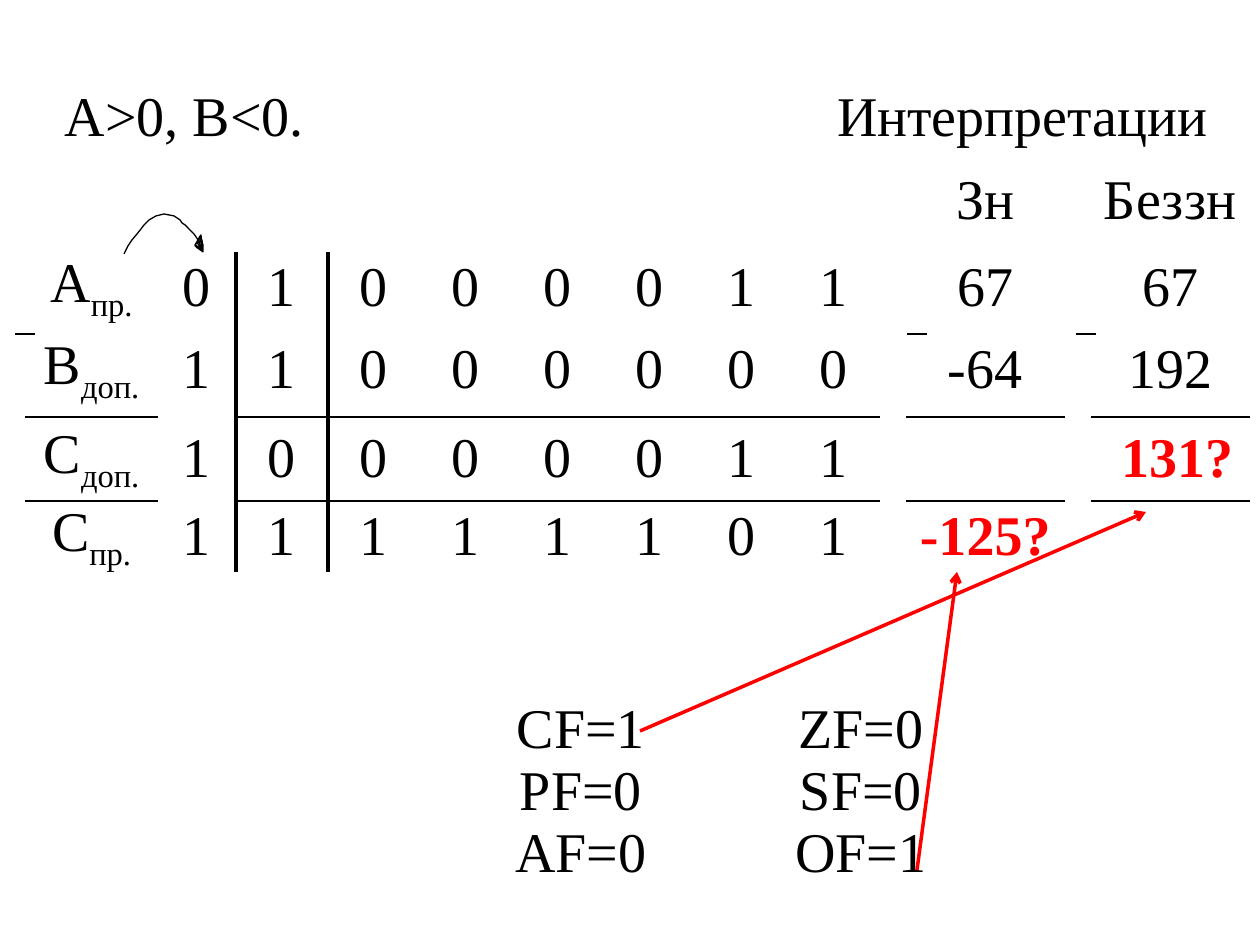
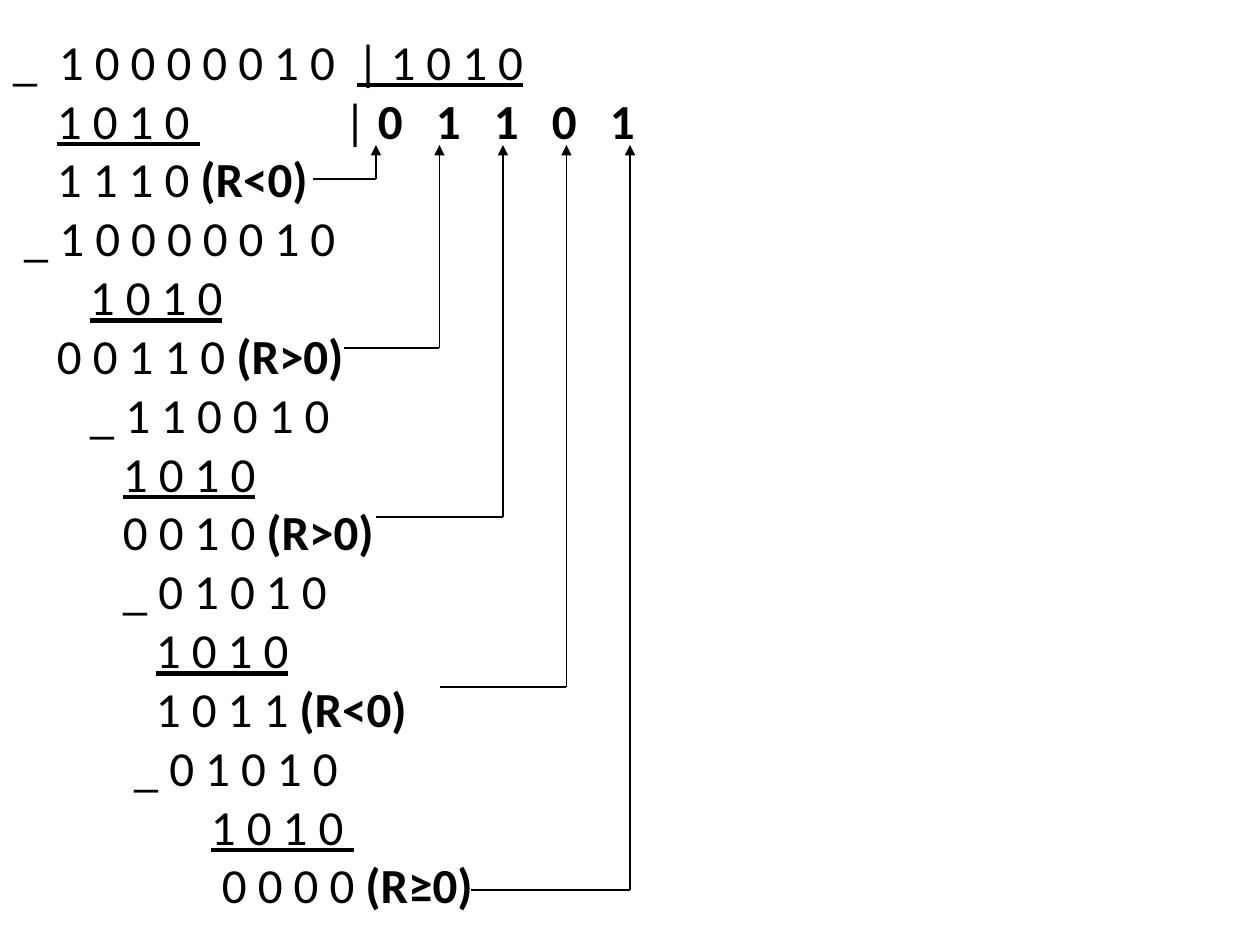
from lxml import etree
from pptx import Presentation
from pptx import util as u
from pptx.dml.color import RGBColor
from pptx.enum import shapes, text
from pptx.oxml.ns import qn

PX = 914400 / 126
BLACK = RGBColor(0x00, 0x00, 0x00)
RED = RGBColor(0xFF, 0x00, 0x00)
SERIF = "Times New Roman"
SANS = "Calibri"
NO_STYLE = "{2D5ABB26-0587-4C30-8999-92F81FD0307C}"
SPACE = 11

SUBTRACTION = [
    ["А>0, B<0.\tИнтерпретации"] + [""] * 12,
    [""] * 10 + ["Зн", "", "Беззн"],
    ["A|пр.", *"01000011", "", "67", "", "67"],
    ["B|доп.", *"11000000", "", "-64", "", "192"],
    ["C|доп.", *"10000011", "", "", "", " 131?"],
    ["C|пр.", *"11111101", "", "-125?", "", ""],
]
FLAGS = [["CF=1", "ZF=0"], ["PF=0", "SF=0"], ["AF=0", "OF=1"]]
CARRY_ARC = [
    (124, 254), (128, 246), (132, 240), (137, 234), (141, 229), (144, 225),
    (149, 220), (156, 216), (164, 214), (174, 216), (180, 220), (182, 223),
    (185, 225), (190, 230), (194, 234), (198, 240), (200, 244), (203, 250),
    (195, 245), (201, 235), (202, 247), (195, 246), (200, 236), (200, 246),
    (197, 243), (202, 240), (203, 250), (196, 247), (203, 252), (203, 244),
]

QUOTIENT_TABS = [44, 331] + [365 + 58 * i for i in range(5)]
DIVISION = [
    (0, [46, 344], [("_\t1 0 0 0 0 0 1 0\t", ""), ("| 1 0 1 0", "u")]),
    (0, QUOTIENT_TABS, [("\t", ""), ("1 0 1 0 ", "u"), ("\t|\t", ""),
                        ("0\t1\t1\t0\t1", "b")]),
    (4, [], [("1 1 1 0 ", ""), ("(R<0)", "b")]),
    (1, [], [("_ 1 0 0 0 0 0 1 0", "")]),
    (7, [], [("1 0 1 0", "u")]),
    (4, [], [("0 0 1 1 0 ", ""), ("(R>0)", "b")]),
    (7, [], [("_ 1 1 0 0 1 0", "")]),
    (10, [], [("1 0 1 0", "u")]),
    (10, [], [("0 0 1 0 ", ""), ("(R>0)", "b")]),
    (10, [], [("_ 0 1 0 1 0", "")]),
    (13, [], [("1 0 1 0", "u")]),
    (13, [], [("1 0 1 1 ", ""), ("(R<0)", "b")]),
    (11, [], [("_ 0 1 0 1 0", "")]),
    (18, [], [("1 0 1 0 ", "u")]),
    (19, [], [("0 0 0 0 ", ""), ("(R≥0)", "b")]),
]
REMAINDER_LINKS = [(313, 179), (344, 348), (376, 517), (440, 687), (471, 890)]


def px(length):
    """Turn px into EMU."""
    return u.Emu(round(length * PX))


def style(font, name, size, color=BLACK, bold=False):
    """Set the basic look of a font."""
    font.name, font.size, font.bold = name, u.Pt(size), bold
    font.color.rgb = color


def set_tabs(paragraph, positions):
    """Give a paragraph left tab stops."""
    properties = paragraph._p.get_or_add_pPr()
    tab_list = etree.Element(qn("a:tabLst"))
    for position in positions:
        etree.SubElement(tab_list, qn("a:tab"), pos=str(px(position)), algn="l")
    default_font = properties.find(qn("a:defRPr"))
    if default_font is None:
        properties.append(tab_list)
    else:
        default_font.addprevious(tab_list)


def add_line(slide, start, end, color=BLACK, width=0.75, head=None):
    """Draw a straight line, with an arrowhead at its end if named."""
    line = slide.shapes.add_connector(
        shapes.MSO_CONNECTOR.STRAIGHT, *map(px, (*start, *end)))
    line.line.color.rgb = color
    line.line.width = u.Pt(width)
    if head:
        etree.SubElement(line.line._get_or_add_ln(), qn("a:tailEnd"), type=head)
    etree.SubElement(line._element.spPr, qn("a:effectLst"))


def set_border(cell, side, width):
    """Draw one black border of a cell."""
    border = etree.SubElement(cell._tc.get_or_add_tcPr(), qn(f"a:ln{side}"),
                              w=str(u.Pt(width)))
    fill = etree.SubElement(border, qn("a:solidFill"))
    etree.SubElement(fill, qn("a:srgbClr"), val=str(BLACK))


def fill_cell(cell, content):
    """Write centred text in a cell, with a subscript after a bar."""
    cell.margin_left = cell.margin_right = px(9)
    cell.margin_top = cell.margin_bottom = 0
    cell.vertical_anchor = text.MSO_ANCHOR.MIDDLE
    cell.fill.background()
    if not content:
        return
    warning = content.endswith("?")
    paragraph = cell.text_frame.paragraphs[0]
    paragraph.alignment = text.PP_ALIGN.CENTER
    style(paragraph.font, SERIF, 32, RED if warning else BLACK, warning)
    base, _, subscript = content.partition("|")
    paragraph.add_run().text = base
    if subscript:
        run = paragraph.add_run()
        run.text = subscript
        run.font._element.set("baseline", "-25000")


def add_grid(slide, left, top, widths, heights, rows, borders=None):
    """Add a plain table; borders gives (side, width) pairs for a cell."""
    frame = slide.shapes.add_table(
        len(rows), len(widths), px(left), px(top), px(sum(widths)), px(sum(heights)))
    table = frame.table
    table.first_row = table.horz_banding = False
    table._tbl.tblPr.find(qn("a:tableStyleId")).text = NO_STYLE
    for column, width in zip(table.columns, widths):
        column.width = px(width)
    for r, (row, height) in enumerate(zip(rows, heights)):
        table.rows[r].height = px(height)
        for c, content in enumerate(row):
            cell = table.cell(r, c)
            for side, width in borders(r, c) if borders else []:
                set_border(cell, side, width)
            fill_cell(cell, content)
    return table


def subtraction_borders(row, column):
    """List the borders of a cell in the subtraction table."""
    ruled = column not in (1, 9, 11)
    rules = [
        ("L", 3, row >= 2 and column == 2),
        ("R", 3, row >= 2 and column == 1),
        ("T", 1.5, row in (4, 5) and ruled),
        ("B", 1.5, row in (3, 4) and ruled),
    ]
    return [(side, width) for side, width, shown in rules if shown]


def add_carry_arc(slide):
    """Draw the thin hand-drawn arrow above the sign bit."""
    builder = slide.shapes.build_freeform(*CARRY_ARC[0], scale=PX)
    builder.add_line_segments(CARRY_ARC[1:], close=False)
    arc = builder.convert_to_shape()
    arc.fill.background()
    arc.line.color.rgb = BLACK
    arc.line.width = u.Pt(0.75)
    arc.shadow.inherit = False


def add_division(slide):
    """Write the long division, one paragraph a step."""
    box = slide.shapes.add_textbox(px(13), px(25), px(1234), px(903))
    frame = box.text_frame
    frame.word_wrap = True
    frame.margin_left = frame.margin_right = 0
    for i, (indent, tabs, runs) in enumerate(DIVISION):
        paragraph = frame.add_paragraph() if i else frame.paragraphs[0]
        style(paragraph.font, SANS, 28)
        paragraph._p.get_or_add_pPr().set("marL", str(px(indent * SPACE)))
        if tabs:
            set_tabs(paragraph, tabs)
        for content, look in runs:
            run = paragraph.add_run()
            run.text = content
            if look == "u":
                run.font.underline = True
            elif look == "b":
                run.font.bold = True


def build_subtraction(slide):
    """Build the slide on subtraction and its flags."""
    table = add_grid(slide, 25, 86, [133, 78] + [92] * 7 + [26, 159] * 2,
                     [64, 102, 71, 94, 84, 71], SUBTRACTION, subtraction_borders)
    heading = table.cell(0, 0)
    heading.merge(table.cell(0, 12))
    heading.margin_left = px(40)
    paragraph = heading.text_frame.paragraphs[0]
    paragraph.alignment = text.PP_ALIGN.LEFT
    set_tabs(paragraph, [772])
    for minus in (15, 1076, 907):
        add_line(slide, (minus, 334), (minus + 20, 334), width=1.5)
    add_carry_arc(slide)
    add_grid(slide, 441, 698, [280] * 2, [62] * 3, FLAGS)
    add_line(slide, (640, 731), (1146, 512), RED, 2, "arrow")
    add_line(slide, (917, 870), (957, 572), RED, 2, "arrow")


def build_division(slide):
    """Build the slide on long division."""
    add_division(slide)
    for i, (start, level) in enumerate(REMAINDER_LINKS):
        digit = 376 + 63.5 * i
        add_line(slide, (start, level), (digit, level))
        add_line(slide, (digit, level), (digit, 145), head="triangle")


def main():
    """Build and save the presentation."""
    presentation = Presentation()
    presentation.slide_width, presentation.slide_height = px(1260), px(945)
    for build in (build_subtraction, build_division):
        build(presentation.slides.add_slide(presentation.slide_layouts[6]))
    presentation.save("out.pptx")


if __name__ == "__main__":
    main()
